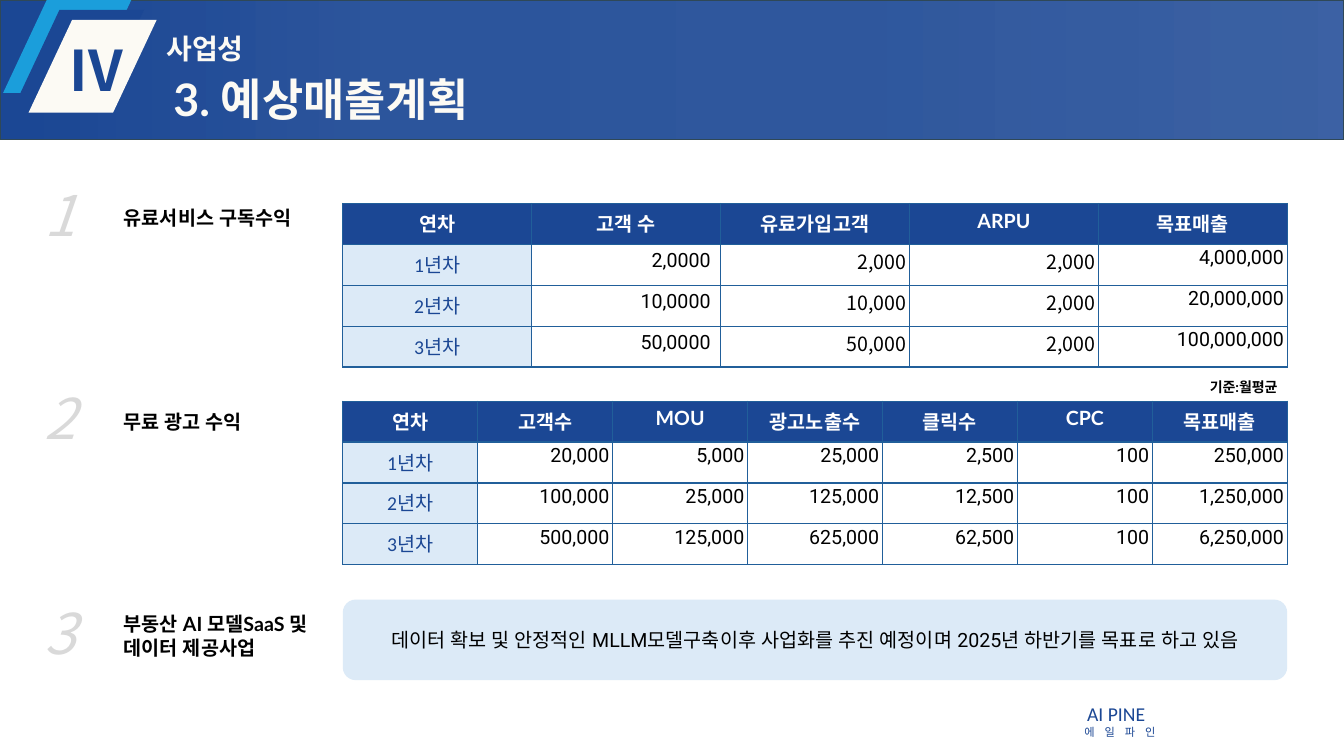
from dataclasses import dataclass

from lxml.etree import SubElement
from pptx import Presentation
from pptx.dml.color import RGBColor
from pptx.enum.shapes import MSO_SHAPE
from pptx.enum.text import MSO_ANCHOR, MSO_AUTO_SIZE, PP_ALIGN
from pptx.oxml import parse_xml
from pptx.oxml.ns import nsdecls, qn
from pptx.util import Cm, Pt


@dataclass(frozen=True)
class Theme:
    navy: str = "1B4794"
    sky: str = "1B9EDB"
    cream: str = "FCFAF4"
    pale: str = "DCEAF7"
    border: str = "215F9A"
    header_line: str = "2F4857"
    grey: str = "D9D9D9"
    black: str = "000000"
    white: str = "FFFFFF"
    heading: str = "Lato"
    label: str = "Calibri"
    value: str = "Roboto"
    korean: str = "Noto Sans CJK KR"
    huge: int = 40
    title: int = 32
    chapter: int = 20
    body: int = 14
    note: int = 10
    tiny: int = 8


THEME = Theme()
TEXT_INSETS = (0.25, 0.13)
TIGHT_INSETS = (0.08, 0.05)
NO_INSETS = (0, 0)


class SlideBuilder:
    def __init__(self, slide, theme):
        self.slide = slide
        self.theme = theme

    def styled_run(self, paragraph, text, size, font, color, bold=False, italic=False,
                   align=PP_ALIGN.LEFT, east_asian=None, spacing=None):
        paragraph.alignment = align
        run = paragraph.add_run()
        run.text = text
        run.font.size = Pt(size)
        run.font.name = font
        run.font.bold = bold
        run.font.italic = italic
        run.font.color.rgb = RGBColor.from_string(color)
        properties = run._r.get_or_add_rPr()
        SubElement(properties, qn("a:ea")).set("typeface", east_asian or font)
        if spacing:
            properties.set("spc", str(spacing * 100))

    def frame(self, frame, insets, anchor=MSO_ANCHOR.TOP):
        frame.word_wrap = True
        frame.auto_size = MSO_AUTO_SIZE.NONE
        frame.vertical_anchor = anchor
        frame.margin_left = frame.margin_right = Cm(insets[0])
        frame.margin_top = frame.margin_bottom = Cm(insets[1])
        return frame.paragraphs[0]

    def text(self, area, text, size, font, color, insets=TEXT_INSETS, **style):
        box = self.slide.shapes.add_textbox(*map(Cm, area))
        paragraph = self.frame(box.text_frame, insets)
        self.styled_run(paragraph, text, size, font, color, **style)

    def title(self, area, text):
        title = self.slide.shapes.title
        title.left, title.top, title.width, title.height = map(Cm, area)
        self.slide.shapes._spTree.append(title._element)
        paragraph = self.frame(title.text_frame, (0.2, 0.1), MSO_ANCHOR.MIDDLE)
        paragraph.line_spacing = 0.9
        self.styled_run(paragraph, text, self.theme.title, self.theme.heading,
                        self.theme.cream, bold=True)

    def shape(self, kind, area, fill, adjustment=None):
        shape = self.slide.shapes.add_shape(kind, *map(Cm, area))
        shape.shadow.inherit = False
        shape.fill.solid()
        shape.fill.fore_color.rgb = RGBColor.from_string(fill)
        shape.line.fill.background()
        if adjustment is not None:
            shape.adjustments[0] = adjustment
        return shape

    def header_band(self, area, stops):
        band = self.shape(MSO_SHAPE.RECTANGLE, area, self.theme.navy)
        band.line.color.rgb = RGBColor.from_string(self.theme.header_line)
        band.line.width = Pt(1)
        stop_xml = "".join(
            f'<a:gs pos="{position * 1000}"><a:srgbClr val="{self.theme.navy}">'
            f'<a:alpha val="{alpha * 1000}"/></a:srgbClr></a:gs>'
            for position, alpha in stops)
        gradient = parse_xml(
            f'<a:gradFill {nsdecls("a")} rotWithShape="1"><a:gsLst>{stop_xml}</a:gsLst>'
            '<a:lin ang="10800000" scaled="0"/></a:gradFill>')
        solid = band._element.spPr.find(qn("a:solidFill"))
        solid.getparent().replace(solid, gradient)

    def callout(self, area, text):
        callout = self.shape(MSO_SHAPE.ROUNDED_RECTANGLE, area, self.theme.pale, 0.16)
        paragraph = self.frame(callout.text_frame, TEXT_INSETS, MSO_ANCHOR.MIDDLE)
        self.styled_run(paragraph, text, self.theme.body, self.theme.value,
                        self.theme.black, align=PP_ALIGN.CENTER)

    def cell(self, cell, text, fill, font, color, insets, align, bold=False):
        cell.fill.solid()
        cell.fill.fore_color.rgb = RGBColor.from_string(fill)
        cell.margin_left = cell.margin_right = Cm(insets[0])
        cell.margin_top = cell.margin_bottom = Cm(insets[1])
        self.styled_run(cell.text_frame.paragraphs[0], text, self.theme.body, font, color,
                        bold=bold, align=align, east_asian=self.theme.korean)
        properties = cell._tc.get_or_add_tcPr()
        for index, side in enumerate(("lnL", "lnR", "lnT", "lnB")):
            properties.insert(index, parse_xml(
                f'<a:{side} {nsdecls("a")} w="12700"><a:solidFill>'
                f'<a:srgbClr val="{self.theme.border}"/></a:solidFill></a:{side}>'))

    def table(self, area, headings, years, value_styles):
        theme = self.theme
        table = self.slide.shapes.add_table(
            len(years) + 1, len(headings), *map(Cm, area)).table
        table.horz_banding = False
        for column in table.columns:
            column.width = Cm(area[2] / len(headings))
        for row in table.rows:
            row.height = Cm(area[3] / (len(years) + 1))
        for column, heading in enumerate(headings):
            self.cell(table.cell(0, column), heading, theme.navy, theme.heading,
                      theme.white, TEXT_INSETS, PP_ALIGN.CENTER, bold=True)
        for row, values in enumerate(years, 1):
            self.cell(table.cell(row, 0), f"{row}년차", theme.pale, theme.label,
                      theme.navy, TEXT_INSETS, PP_ALIGN.CENTER)
            for column, (value, (font, insets)) in enumerate(zip(values, value_styles), 1):
                self.cell(table.cell(row, column), value, theme.white, font,
                          theme.black, insets, PP_ALIGN.RIGHT)


def main():
    presentation = Presentation()
    presentation.slide_width, presentation.slide_height = Cm(33.87), Cm(19.05)
    slide = presentation.slides.add_slide(presentation.slide_layouts[5])
    page = SlideBuilder(slide, THEME)

    page.text((27.03, 18.29, 2.39, 0.33), "에일파인", THEME.tiny, THEME.label, THEME.navy,
              (0.1, 0), align=PP_ALIGN.CENTER, spacing=7)
    page.text((26.67, 17.68, 2.92, 0.61), "AI PINE", THEME.body, THEME.label, THEME.navy,
              (0.1, 0), align=PP_ALIGN.CENTER)

    page.header_band((0, 0, 33.87, 3.51),
                     [(0, 85), (34, 90), (74, 92), (83, 95), (100, 100)])
    for step, color in enumerate((THEME.sky, THEME.navy, THEME.cream)):
        page.shape(MSO_SHAPE.PARALLELOGRAM,
                   (0.08 + 0.32 * step, 0.25 * step, 3.23, 2.34), color, 0.47)
    page.text((4.19, 0.79, 16, 0.86), "사업성", THEME.chapter, THEME.heading, THEME.cream,
              NO_INSETS, bold=True)
    page.text((0.84, 0.89, 3.18, 1.7), "IV", THEME.huge, THEME.korean, THEME.navy,
              NO_INSETS, bold=True, align=PP_ALIGN.CENTER)
    page.title((4.17, 1.63, 27.69, 1.88), "3. 예상매출계획")

    sections = [
        (4.42, 5.05, "유료서비스 구독수익"),
        (9.53, 10.19, "무료 광고 수익"),
        (14.94, 15.29, "부동산 AI 모델SaaS 및 데이터 제공사업"),
    ]
    for number, (number_top, name_top, name) in enumerate(sections, 1):
        page.text((0.86, number_top, 2.59, 1.96), str(number), THEME.huge, THEME.korean,
                  THEME.grey, italic=True)
        page.text((2.87, name_top, 5.41, 1.45), name, THEME.body, THEME.heading,
                  THEME.black, bold=True)

    tight_value = (THEME.value, TIGHT_INSETS)
    tight_korean = (THEME.korean, TIGHT_INSETS)
    page.table(
        (8.64, 5.13, 23.8, 4.12),
        ["연차", "고객 수", "유료가입고객", "ARPU", "목표매출"],
        [["2,0000", "2,000", "2,000", "4,000,000"],
         ["10,0000", "10,000", "2,000", "20,000,000"],
         ["50,0000", "50,000", "2,000", "100,000,000"]],
        [(THEME.value, TEXT_INSETS), tight_korean, tight_korean, tight_value])
    page.table(
        (8.64, 10.11, 23.8, 4.12),
        ["연차", "고객수", "MOU", "광고노출수", "클릭수", "CPC", "목표매출"],
        [["20,000", "5,000", "25,000", "2,500", "100", "250,000"],
         ["100,000", "25,000", "125,000", "12,500", "100", "1,250,000"],
         ["500,000", "125,000", "625,000", "62,500", "100", "6,250,000"]],
        [tight_value] * 6)
    page.text((28.17, 9.42, 4.27, 0.69), "기준:월평균", THEME.note, THEME.heading,
              THEME.black, bold=True, align=PP_ALIGN.RIGHT)
    page.callout((8.64, 15.11, 23.8, 2.03),
                 "데이터 확보 및 안정적인 MLLM모델구축이후 사업화를 추진 예정이며 "
                 "2025년 하반기를 목표로 하고 있음")

    presentation.save("out.pptx")


if __name__ == "__main__":
    main()
